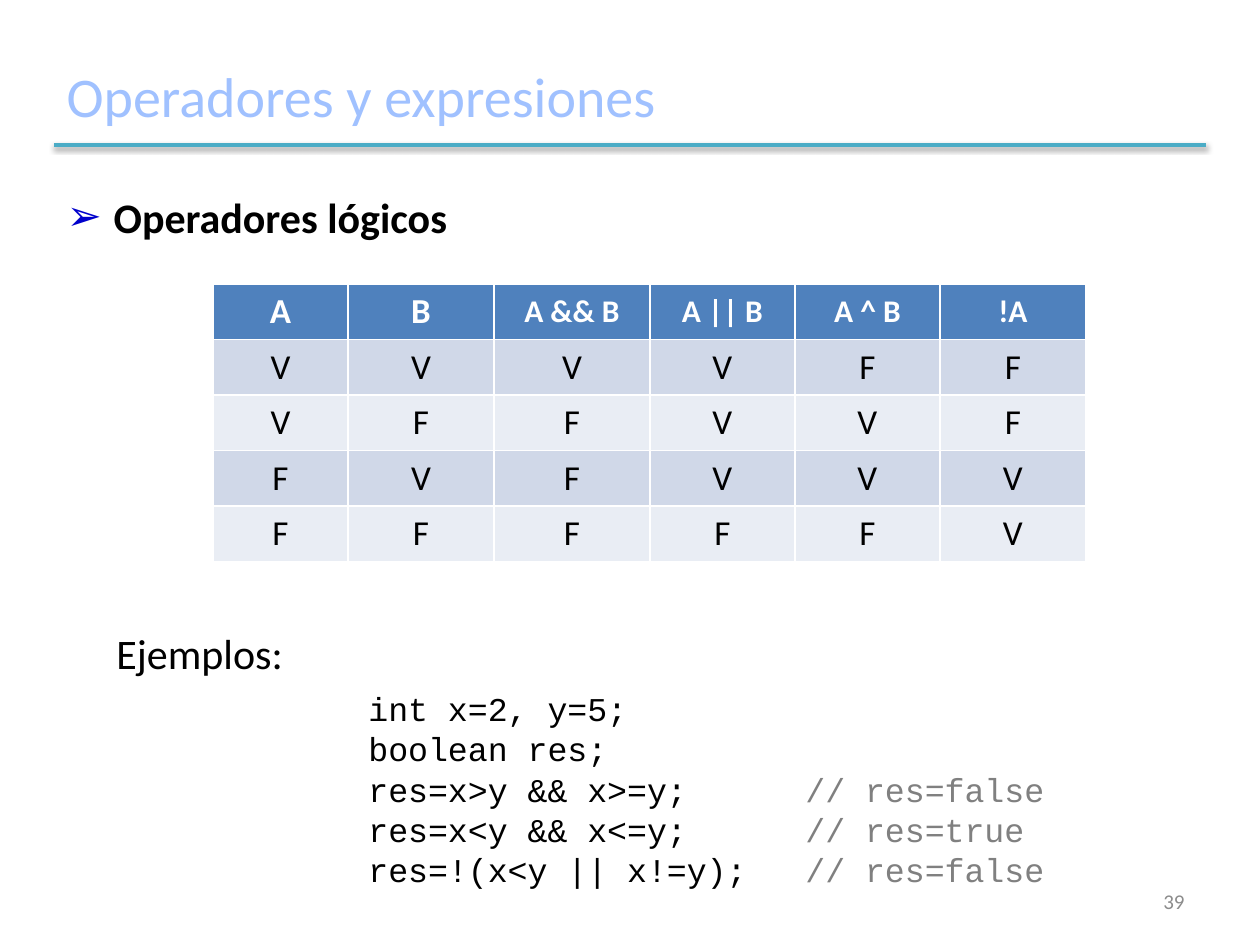
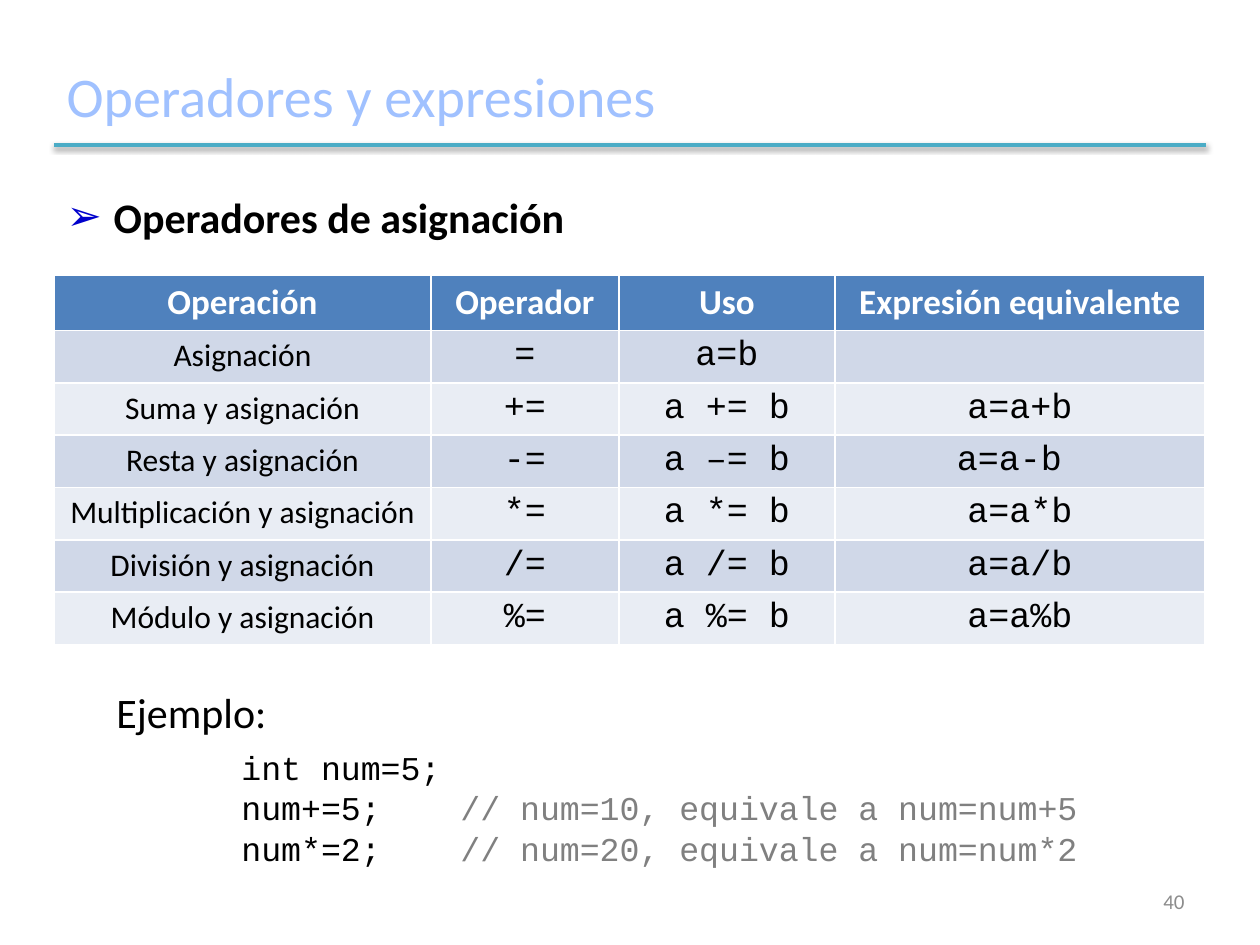
from lxml.etree import SubElement
from pptx import Presentation
from pptx.dml.color import RGBColor
from pptx.enum.shapes import MSO_CONNECTOR as Connector
from pptx.enum.text import MSO_ANCHOR as Anchor, MSO_AUTO_SIZE as AutoSize, PP_ALIGN as Align
from pptx.oxml.ns import qn
from pptx.util import Emu, Pt

PX_PER_INCH = 126
SANS, MONO = "Calibri", "Courier New"
BLACK, WHITE, GREY = "000000", "FFFFFF", "808080"
TITLE_BLUE, RULE_TEAL, BULLET_BLUE = "A0C1FF", "4BACC6", "0000CC"
PAGE_GREY = "8C8C8C"
HEADER_FILL, BAND_FILLS = "4F81BD", ("D0D8E8", "E9EDF4")
LEFT, WIDTH = 54, 1152
ROW_HEIGHT = 52
LABEL_INDENT = 50


def px(length):
    return Emu(round(length * 914400 / PX_PER_INCH))


def color(value):
    return RGBColor.from_string(value)


def add_element(parent, tag, **attributes):
    return SubElement(parent, qn(tag), {key: str(value) for key, value in attributes.items()})


def write(para, text, size=20, font=SANS, ink=BLACK, bold=False, align=Align.LEFT):
    """Add a formatted run to a paragraph."""
    para.alignment = align
    span = para.add_run()
    span.text = text
    span.font.size = Pt(size)
    span.font.name = font
    span.font.bold = bold
    span.font.color.rgb = color(ink)


def place(shape, box, anchor=Anchor.TOP):
    """Move a shape to a px box and return its wrapped text frame."""
    shape.left, shape.top, shape.width, shape.height = map(px, box)
    frame = shape.text_frame
    frame.word_wrap = True
    frame.auto_size = AutoSize.NONE
    frame.vertical_anchor = anchor
    return frame


def add_text_box(page, box, anchor=Anchor.TOP):
    return place(page.shapes.add_textbox(*map(px, box)), box, anchor)


def add_title(page, text, box):
    """Fill the title and draw the shadowed rule along its lower edge."""
    frame = place(page.shapes.title, box, Anchor.MIDDLE)
    write(frame.paragraphs[0], text, size=32, ink=TITLE_BLUE)
    left, top, width, height = box
    y = px(top + height)
    rule = page.shapes.add_connector(Connector.STRAIGHT, px(left), y, px(left + width), y)
    rule.line.color.rgb = color(RULE_TEAL)
    rule.line.width = Pt(2)
    effects = add_element(rule._element.spPr, "a:effectLst")
    shadow = add_element(effects, "a:outerShdw", blurRad=Pt(3.1), dist=Pt(1.6),
                         dir=5400000, rotWithShape=0)
    shade = add_element(shadow, "a:srgbClr", val=BLACK)
    add_element(shade, "a:alpha", val=38000)


def add_heading(page, text, box):
    para = place(page.placeholders[1], box).paragraphs[0]
    para.space_before = Pt(0)
    props = para._p.get_or_add_pPr()
    props.set("marL", str(px(47)))
    props.set("indent", str(-px(47)))
    add_element(add_element(props, "a:buClr"), "a:srgbClr", val=BULLET_BLUE)
    add_element(props, "a:buChar", char="➢")
    write(para, text, size=24, bold=True)


def add_grid(page, rows, corner, columns, header_formats, body_formats, anchor=Anchor.TOP):
    """Build a banded table; formats are given per column."""
    left, top = corner
    table = page.shapes.add_table(len(rows), len(columns), px(left), px(top),
                                  px(sum(columns)), px(ROW_HEIGHT * len(rows))).table
    for column, width in zip(table.columns, columns):
        column.width = px(width)
    for r, row in enumerate(rows):
        formats = body_formats if r else header_formats
        fill = BAND_FILLS[(r - 1) % 2] if r else HEADER_FILL
        for c, text in enumerate(row):
            cell = table.cell(r, c)
            cell.fill.solid()
            cell.fill.fore_color.rgb = color(fill)
            cell.vertical_anchor = anchor
            if text:
                write(cell.text_frame.paragraphs[0], text, align=Align.CENTER, **formats[c])


def add_example(page, label, lines, box, stops):
    """Write a label and code lines; stops are the px tabs of code and comment."""
    frame = add_text_box(page, box)
    heading = frame.paragraphs[0]
    heading._p.get_or_add_pPr().set("marL", str(px(LABEL_INDENT)))
    write(heading, label, size=24)
    for number, (code, comment) in enumerate(lines):
        para = frame.add_paragraph()
        tabs = add_element(para._p.get_or_add_pPr(), "a:tabLst")
        for stop in stops:
            add_element(tabs, "a:tab", pos=px(stop), algn="l")
        para.line_spacing = Pt(23)
        para.space_before = Pt(0 if number else 6)
        write(para, "\t" + code, size=19, font=MONO)
        if comment:
            write(para, "\t" + comment, size=19, font=MONO, ink=GREY)


def add_page_number(page, number, box):
    frame = add_text_box(page, box, Anchor.MIDDLE)
    write(frame.paragraphs[0], str(number), size=12, ink=PAGE_GREY, align=Align.RIGHT)


def add_page(deck, heading, number):
    """Add a slide with the parts that all slides share."""
    page = deck.slides.add_slide(deck.slide_layouts[1])
    add_title(page, "Operadores y expresiones", (LEFT, 45, WIDTH, 100))
    add_heading(page, heading, (LEFT, 185, WIDTH, 63))
    add_page_number(page, number, (903, 876, 294, 50))
    return page


def header_format(size):
    return dict(size=size, ink=WHITE, bold=True)


def build_logical(deck):
    page = add_page(deck, "Operadores lógicos", 39)
    rows = [("A", "B", "A && B", "A || B", "A ^ B", "!A"),
            *("VVVVFF", "VFFVVF", "FVFVVV", "FFFFFV")]
    add_grid(page, rows, (213, 284), (135, 146, 156, 145, 145, 146),
             [header_format(20)] * 2 + [header_format(18)] * 4,
             [dict(size=20)] * 6, Anchor.MIDDLE)
    add_example(page, "Ejemplos:", [
        ("int x=2, y=5;", ""),
        ("boolean res;", ""),
        ("res=x>y && x>=y;", "// res=false"),
        ("res=x<y && x<=y;", "// res=true"),
        ("res=!(x<y || x!=y);", "// res=false"),
    ], (LEFT, 621, WIDTH, 276), (302, 739))


def build_assignment(deck):
    page = add_page(deck, "Operadores de asignación", 40)
    rows = [
        ("Operación", "Operador", "Uso", "Expresión equivalente"),
        ("Asignación", "=", "a=b", ""),
        ("Suma y asignación", "+=", "a += b", "a=a+b"),
        ("Resta y asignación", "-=", "a –= b", "a=a-b "),
        ("Multiplicación y asignación", "*=", "a *= b", "a=a*b"),
        ("División y asignación", "/=", "a /= b", "a=a/b"),
        ("Módulo y asignación", "%=", "a %= b", "a=a%b"),
    ]
    add_grid(page, rows, (LEFT, 275), (377, 188, 216, 370), [header_format(20)] * 4,
             [dict(size=18)] + [dict(size=20, font=MONO)] * 3)
    add_example(page, "Ejemplo:", [
        ("int num=5;", ""),
        ("num+=5;", "// num=10, equivale a num=num+5"),
        ("num*=2;", "// num=20, equivale a num=num*2"),
    ], (LEFT, 680, WIDTH, 235), (175, 394))


def main():
    deck = Presentation()
    deck.slide_width, deck.slide_height = px(1260), px(945)
    build_logical(deck)
    build_assignment(deck)
    deck.save("out.pptx")


if __name__ == "__main__":
    main()
